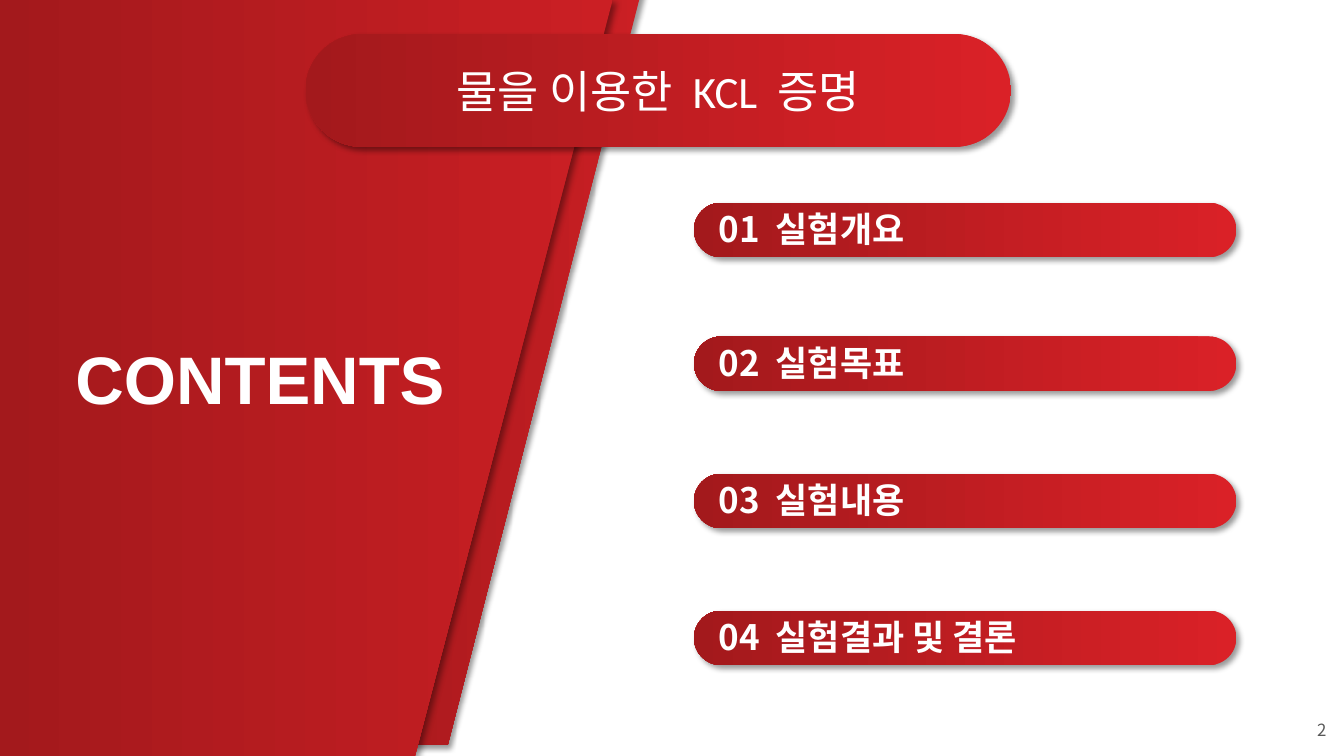
import pptx
import pptx.dml.color
import pptx.enum.shapes
import pptx.enum.text
import pptx.oxml
import pptx.oxml.ns
import pptx.util

Cm = pptx.util.Cm
Pt = pptx.util.Pt
RGB = pptx.dml.color.RGBColor
KIND = pptx.enum.shapes.MSO_SHAPE
ALIGN = pptx.enum.text.PP_ALIGN
ANCHOR = pptx.enum.text.MSO_ANCHOR

WHITE = RGB(0xFF, 0xFF, 0xFF)
GREY = RGB(0x59, 0x59, 0x59)
BRIGHT = RGB(0xDA, 0x21, 0x27)
RED = RGB(0xCB, 0x1F, 0x24)
DARK = RGB(0xA3, 0x19, 0x1C)

KOREAN = "Noto Sans CJK KR"
HEAD = {"name": "Arial", "size": Pt(48), "bold": True}
TITLE = {"name": "Calibri", "size": Pt(32), "bold": False}
ITEM = {"name": KOREAN, "size": Pt(25), "bold": True}
PAGE = {"name": KOREAN, "size": Pt(12), "bold": False}

SHADOW = (
    f'<a:effectLst {pptx.oxml.ns.nsdecls("a")}>'
    '<a:outerShdw blurRad="50800" dist="38100" dir="2700000" algn="tl" rotWithShape="0">'
    '<a:srgbClr val="000000"><a:alpha val="40000"/></a:srgbClr>'
    '</a:outerShdw></a:effectLst>'
)

ITEMS = [
    (5.11, ["01", "실험개요"]),
    (8.48, ["02", "실험목표"]),
    (11.94, ["03", "실험내용"]),
    (15.39, ["04", "실험결과 및 결론"]),
]


def paint(shape, light):
    """Fill with red, dark on the left, and cast a soft shadow."""
    shape.fill.gradient()
    shape.fill.gradient_angle = 180
    for stop, color in zip(shape.fill.gradient_stops, (light, DARK)):
        stop.color.rgb = color
    shape.line.fill.background()
    shape.shadow.inherit = False
    props = shape.element.spPr
    props.remove(props.find(pptx.oxml.ns.qn("a:effectLst")))
    props.append(pptx.oxml.parse_xml(SHADOW))


def add_run(para, text, form, color):
    run = para.add_run()
    run.text = text
    for key, value in form.items():
        setattr(run.font, key, value)
    run.font.color.rgb = color
    east = pptx.oxml.parse_xml(
        f'<a:ea {pptx.oxml.ns.nsdecls("a")} typeface="{KOREAN}"/>')
    run.font._element.find(pptx.oxml.ns.qn("a:latin")).addnext(east)
    return run


def write(shape, parts, form, align, color=WHITE):
    """Write the parts on one line, with a widened space between them."""
    frame = shape.text_frame
    frame.word_wrap = True
    para = frame.paragraphs[0]
    para.alignment = align
    for index, part in enumerate(parts):
        if index:
            gap = add_run(para, " ", form, color)
            gap.font._element.set("spc", str(round(form["size"].pt * 22)))
        add_run(para, part, form, color)


def add_label(slide, box, parts, form, align, color=WHITE):
    label = slide.shapes.add_textbox(*map(Cm, box))
    write(label, parts, form, align, color)


def add_pill(slide, box):
    pill = slide.shapes.add_shape(KIND.ROUNDED_RECTANGLE, *map(Cm, box))
    pill.adjustments[0] = 0.5
    paint(pill, BRIGHT)
    return pill


def add_panel(slide, box):
    """Draw the slanted red side panel with its heading."""
    left, top, width, height = box
    strip = slide.shapes.add_shape(
        KIND.PARALLELOGRAM, Cm(left + 8.86), Cm(top - 0.28), Cm(7.37), Cm(height))
    strip.adjustments[0] = 0.664
    paint(strip, RED)

    right, low = left + width, top + height
    outline = slide.shapes.build_freeform(Cm(left), Cm(top))
    corners = [(right, top), (right - 4.98, low), (left, low)]
    outline.add_line_segments([(Cm(x), Cm(y)) for x, y in corners])
    paint(outline.convert_to_shape(), RED)

    add_label(slide, (left + 0.66, top + 8.38, 11.89, 2.31),
              ["CONTENTS"], HEAD, ALIGN.CENTER)


def add_title(slide, box):
    pill = add_pill(slide, box)
    pill.text_frame.vertical_anchor = ANCHOR.MIDDLE
    write(pill, ["물을 이용한", "KCL", "증명"], TITLE, ALIGN.CENTER)


def add_item(slide, box, parts):
    left, top, width, height = box
    add_pill(slide, box)
    add_label(slide, (left + 0.38, top, width - 0.33, height - 0.05),
              parts, ITEM, ALIGN.LEFT)


def main():
    deck = pptx.Presentation()
    deck.slide_width, deck.slide_height = Cm(33.87), Cm(19.05)
    slide = deck.slides.add_slide(deck.slide_layouts[6])
    add_panel(slide, (-0.05, 0, 15.49, 19.05))
    add_title(slide, (7.7, 0.86, 17.78, 2.84))
    for top, parts in ITEMS:
        add_item(slide, (17.49, top, 13.67, 1.37), parts)
    add_label(slide, (29.62, 18.01, 4.06, 0.76), ["2"], PAGE, ALIGN.RIGHT, GREY)
    deck.save("out.pptx")


if __name__ == "__main__":
    main()
